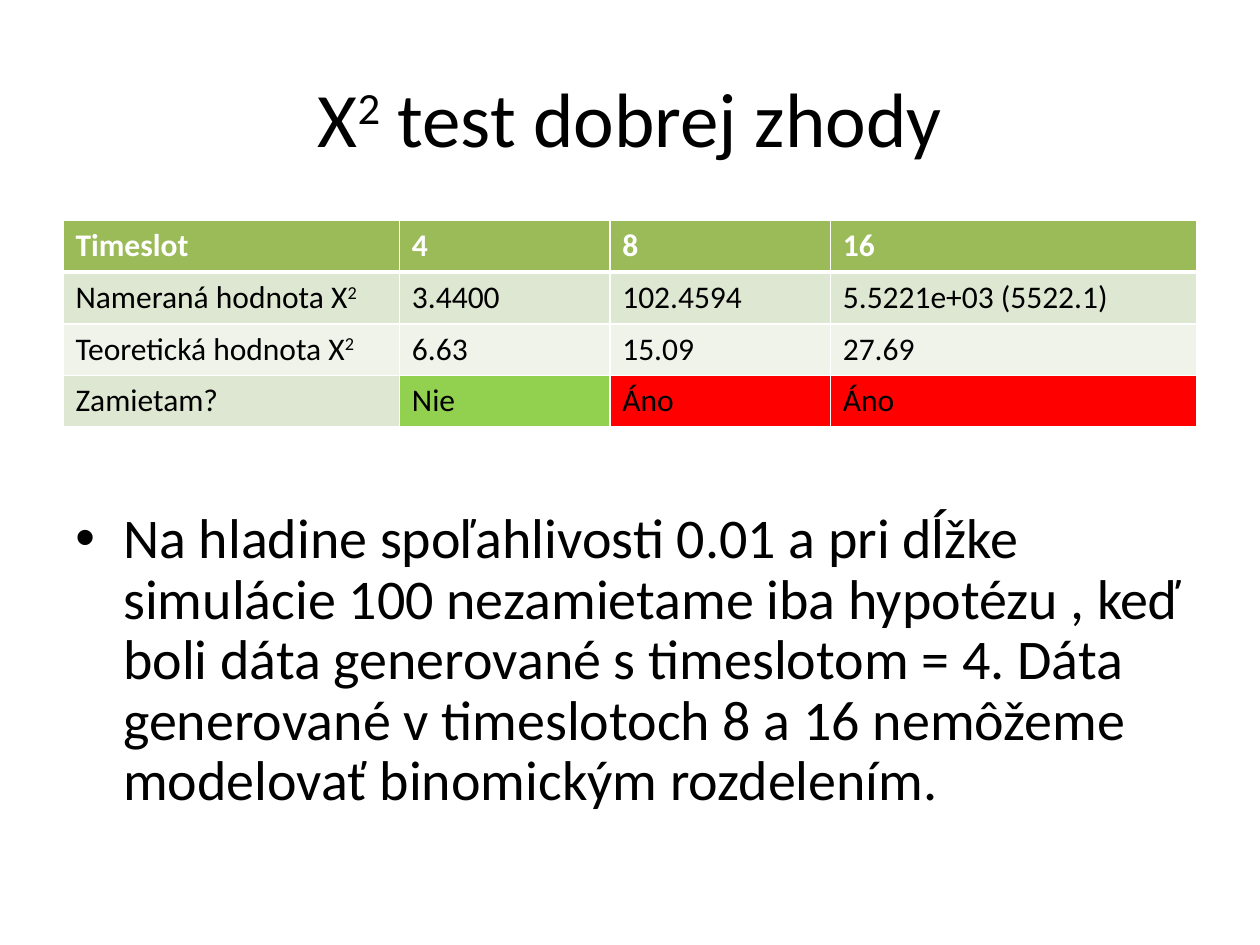
from lxml.etree import SubElement
from pptx import Presentation
from pptx.dml.color import RGBColor
from pptx.enum.text import MSO_ANCHOR as Anchor, PP_ALIGN as Align
from pptx.oxml import parse_xml
from pptx.oxml.ns import nsdecls, qn
from pptx.util import Inches, Pt

BLACK = RGBColor(0, 0, 0)
WHITE = RGBColor(255, 255, 255)
HEADER_GREEN = RGBColor(0x9B, 0xBB, 0x59)
BAND_DARK = RGBColor(0xDE, 0xE7, 0xD1)
BAND_LIGHT = RGBColor(0xEF, 0xF3, 0xEA)
ACCEPT_GREEN = RGBColor(0x92, 0xD0, 0x50)
REJECT_RED = RGBColor(255, 0, 0)

LEFT, WIDTH = 0.5, 9
COLUMN_WIDTHS = (2.67, 1.67, 1.75, 2.91)
ROW_HEIGHT = 0.41
ROW_FILLS = (HEADER_GREEN, BAND_DARK, BAND_LIGHT, BAND_DARK)
VERDICT_FILLS = {"Nie": ACCEPT_GREEN, "Áno": REJECT_RED}
RESULTS = (
    ("Timeslot", "4", "8", "16"),
    ("Nameraná hodnota Χ^2", "3.4400", "102.4594", "5.5221e+03 (5522.1)"),
    ("Teoretická hodnota Χ^2", "6.63", "15.09", "27.69"),
    ("Zamietam?", "Nie", "Áno", "Áno"),
)
TITLE = "Χ^2^ test dobrej zhody"
CONCLUSION = (
    "Na hladine spoľahlivosti 0.01 a pri dĺžke simulácie 100 nezamietame "
    "iba hypotézu , keď boli dáta generované s timeslotom = 4. Dáta "
    "generované v timeslotoch 8 a 16 nemôžeme modelovať binomickým rozdelením."
)


def apply_format(target, values):
    """Set each named attribute of the target."""
    for name, value in values.items():
        setattr(target, name, value)


def write_text(paragraph, text, size, color=BLACK, bold=False):
    """Write text whose parts between carets are superscript."""
    for position, part in enumerate(text.split("^")):
        run = paragraph.add_run()
        run.text = part
        apply_format(run.font, {"name": "Calibri", "size": Pt(size), "bold": bold})
        run.font.color.rgb = color
        if position % 2:
            run._r.get_or_add_rPr().set("baseline", "30000")


def add_text(slide, top, height, text, size, frame_format, paragraph_format):
    """Add a full-width text block and return its paragraph."""
    box = slide.shapes.add_textbox(
        Inches(LEFT), Inches(top), Inches(WIDTH), Inches(height))
    apply_format(box.text_frame, {"word_wrap": True, **frame_format})
    paragraph = box.text_frame.paragraphs[0]
    apply_format(paragraph, paragraph_format)
    write_text(paragraph, text, size)
    return paragraph


def add_bullet(paragraph, indent):
    """Give the paragraph a hanging round bullet."""
    properties = paragraph._p.get_or_add_pPr()
    properties.set("marL", str(Inches(indent)))
    properties.set("indent", str(-Inches(indent)))
    SubElement(properties, qn("a:buFont")).set("typeface", "Arial")
    SubElement(properties, qn("a:buChar")).set("char", "•")


def set_borders(cell, widths):
    """Draw white cell borders with the given widths by side."""
    properties = cell._tc.get_or_add_tcPr()
    for position, (side, width) in enumerate(widths.items()):
        properties.insert(position, parse_xml(
            f'<a:ln{side} {nsdecls("a")} w="{Pt(width)}"><a:solidFill>'
            f'<a:srgbClr val="{WHITE}"/></a:solidFill></a:ln{side}>'))


def add_results(slide, top):
    """Add the table of test results."""
    table = slide.shapes.add_table(
        len(RESULTS), len(COLUMN_WIDTHS), Inches(LEFT), Inches(top),
        Inches(WIDTH), Inches(ROW_HEIGHT * len(RESULTS))).table
    for column, width in zip(table.columns, COLUMN_WIDTHS):
        column.width = Inches(width)
    for r, (values, row_fill) in enumerate(zip(RESULTS, ROW_FILLS)):
        table.rows[r].height = Inches(ROW_HEIGHT)
        header = r == 0
        for c, value in enumerate(values):
            cell = table.cell(r, c)
            cell.fill.solid()
            cell.fill.fore_color.rgb = VERDICT_FILLS.get(value, row_fill)
            set_borders(cell, {"L": 1, "R": 1, "T": 3 if r == 1 else 1,
                               "B": 3 if header else 1})
            write_text(cell.text_frame.paragraphs[0], value, 18,
                       WHITE if header else BLACK, header)


def main():
    """Build and save the slide."""
    deck = Presentation()
    apply_format(deck, {"slide_width": Inches(10), "slide_height": Inches(7.5)})
    slide = deck.slides.add_slide(deck.slide_layouts[6])
    add_text(slide, 0.3, 1.25, TITLE, 44,
             {"vertical_anchor": Anchor.MIDDLE}, {"alignment": Align.CENTER})
    add_results(slide, 1.75)
    conclusion = add_text(slide, 4, 2.7, CONCLUSION, 32,
                          {"vertical_anchor": Anchor.TOP},
                          {"line_spacing": 0.9, "space_before": Pt(6.4)})
    add_bullet(conclusion, 0.38)
    deck.save("out.pptx")


main()
